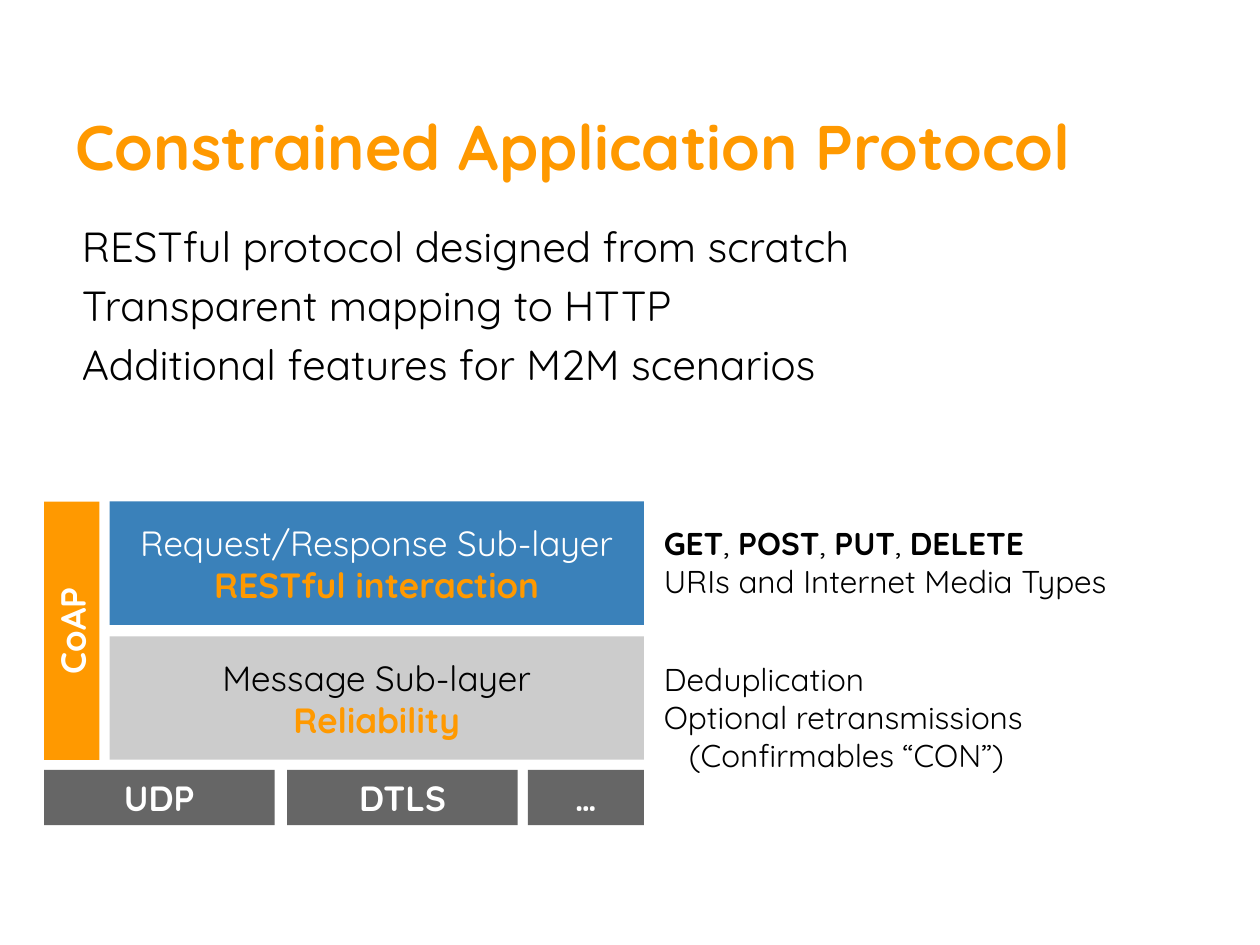
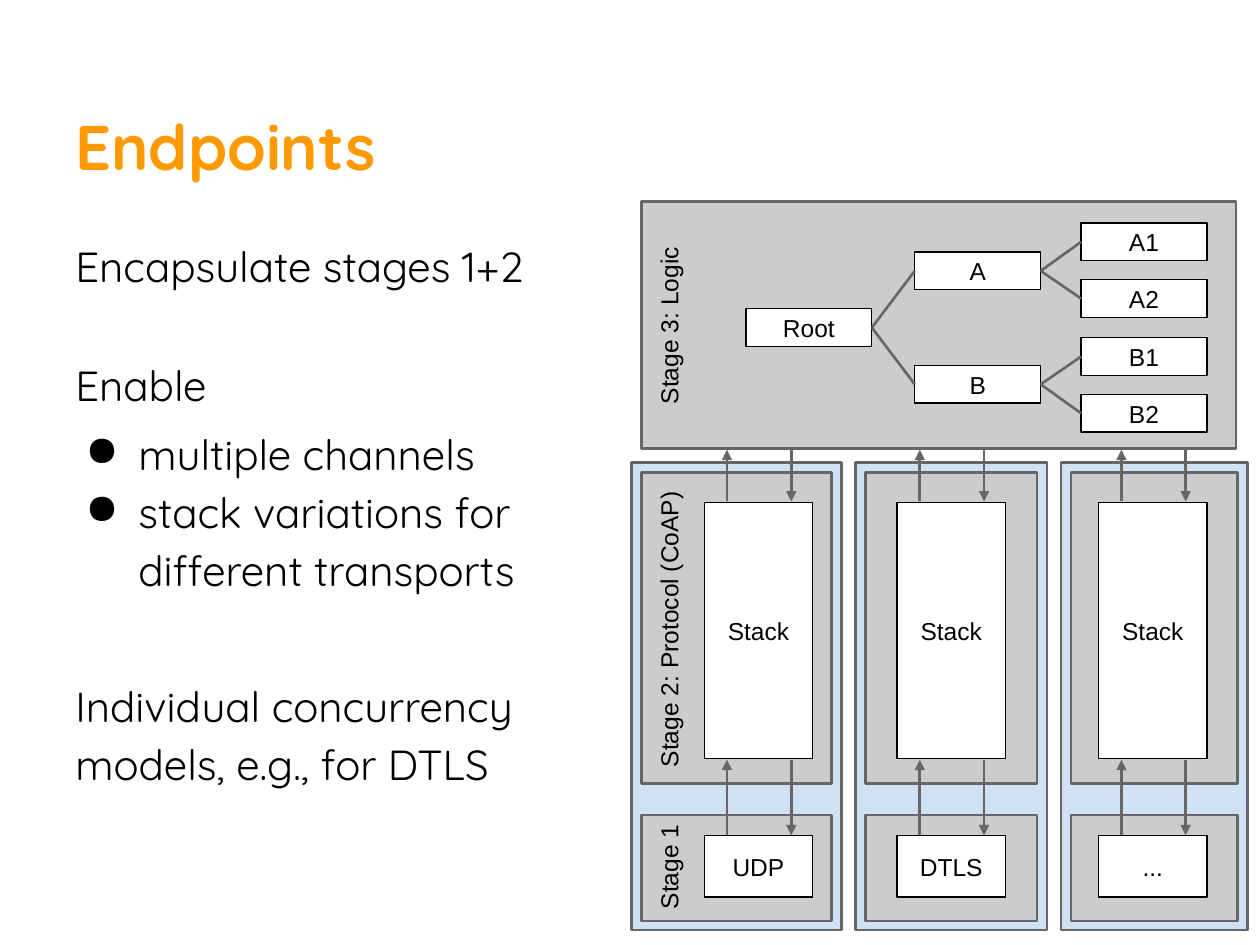
import dataclasses

import lxml.etree
import pptx
import pptx.dml.color
import pptx.enum.shapes
import pptx.enum.text
import pptx.oxml.ns
import pptx.util

PX = 9144
ALIGN = pptx.enum.text.PP_ALIGN
ANCHOR = pptx.enum.text.MSO_ANCHOR
RECTANGLE = pptx.enum.shapes.MSO_SHAPE.RECTANGLE
STRAIGHT = pptx.enum.shapes.MSO_CONNECTOR.STRAIGHT


@dataclasses.dataclass(frozen=True)
class Theme:
    """Colours, fonts and type sizes of the deck."""
    orange: str = "FF9900"
    blue: str = "3A81BA"
    pale_blue: str = "CFE2F3"
    light_gray: str = "CCCCCC"
    dark_gray: str = "666666"
    white: str = "FFFFFF"
    black: str = "000000"
    text_font: str = "Quicksand"
    diagram_font: str = "Arial"
    title_size: int = 36
    body_size: int = 24
    layer_size: int = 20
    note_size: int = 18
    diagram_size: int = 14
    thick: float = 1.5
    thin: float = 0.75


THEME = Theme()
TITLE_BOX = (50, 30, 900, 125)
BODY_BOX = (50, 175, 900, 543)


def emu(*lengths):
    """Turn px into EMU."""
    return [pptx.util.Emu(round(length * PX)) for length in lengths]


def rgb(color):
    """Turn a hex string into a colour."""
    return pptx.dml.color.RGBColor.from_string(color)


def style(paragraph, size, color, bold=False, font=THEME.text_font):
    """Format every run of a paragraph."""
    for span in paragraph.runs:
        span.font.name = font
        span.font.size = pptx.util.Pt(size)
        span.font.bold = bold
        span.font.color.rgb = rgb(color)


def write(shape, text, size, color, bold=False, font=THEME.text_font,
          align=ALIGN.LEFT, anchor=ANCHOR.TOP, insets=(10, 10, 10, 10)):
    """Fill a shape with evenly styled text and return its paragraphs."""
    frame = shape.text_frame
    frame.word_wrap = True
    frame.vertical_anchor = anchor
    (frame.margin_left, frame.margin_top,
     frame.margin_right, frame.margin_bottom) = emu(*insets)
    frame.text = text
    for paragraph in frame.paragraphs:
        paragraph.alignment = align
        style(paragraph, size, color, bold, font)
    return frame.paragraphs


def add_text(page, box, text, size, color, **options):
    """Add a text box and return its paragraphs."""
    return write(page.shapes.add_textbox(*emu(*box)), text, size, color, **options)


def add_block(page, box, fill, line=None, weight=THEME.thick):
    """Add a flat rectangle."""
    shape = page.shapes.add_shape(RECTANGLE, *emu(*box))
    shape.shadow.inherit = False
    shape.fill.solid()
    shape.fill.fore_color.rgb = rgb(fill)
    if line:
        shape.line.color.rgb = rgb(line)
        shape.line.width = pptx.util.Pt(weight)
    else:
        shape.line.fill.background()
    return shape


def turned(box):
    """Give the frame that covers the box once it is turned by 270 degrees."""
    left, top, width, height = box
    shift = (width - height) / 2
    return left + shift, top - shift, height, width


def add_line(page, start, end, arrow=False):
    """Add a gray line, with an arrowhead at its end if wanted."""
    connector = page.shapes.add_connector(STRAIGHT, *emu(*start, *end))
    connector.line.color.rgb = rgb(THEME.dark_gray)
    connector.line.width = pptx.util.Pt(THEME.thick)
    properties = connector._element.spPr
    if arrow:
        outline = properties.find(pptx.oxml.ns.qn("a:ln"))
        lxml.etree.SubElement(outline, pptx.oxml.ns.qn("a:tailEnd"), type="triangle")
    lxml.etree.SubElement(properties, pptx.oxml.ns.qn("a:effectLst"))
    return connector


def indent(paragraph, left, first=0, bullet=None):
    """Indent a paragraph and give it a bullet if wanted."""
    properties = paragraph._p.get_or_add_pPr()
    properties.set("marL", str(left * PX))
    properties.set("indent", str(first * PX))
    if bullet:
        color = lxml.etree.SubElement(properties, pptx.oxml.ns.qn("a:buClr"))
        lxml.etree.SubElement(color, pptx.oxml.ns.qn("a:srgbClr"), val=THEME.black)
        lxml.etree.SubElement(properties, pptx.oxml.ns.qn("a:buChar"), char=bullet)


def add_page(deck, title):
    """Add a blank page with its title."""
    page = deck.slides.add_slide(deck.slide_layouts[6])
    add_text(page, TITLE_BOX, title, THEME.title_size, THEME.orange,
             bold=True, anchor=ANCHOR.BOTTOM)
    return page


def draw_layers(page, box):
    """Draw the protocol layers inside the box."""
    left, top, width, height = box
    label = dict(align=ALIGN.CENTER, anchor=ANCHOR.MIDDLE, insets=(10, 5, 10, 5))
    bar, layer_left, layer_height, pitch = 44, 52, 98, 107
    layers = [
        ("Request/Response Sub-layer", "RESTful interaction", THEME.blue, THEME.white),
        ("Message Sub-layer", "Reliability", THEME.light_gray, THEME.black),
    ]
    for row, (name, purpose, fill, color) in enumerate(layers):
        block = add_block(page, (left + layer_left, top + row * pitch,
                                 width - layer_left, layer_height), fill)
        lines = write(block, f"{name}\n{purpose}", THEME.layer_size, color, **label)
        style(lines[1], THEME.layer_size, THEME.orange, bold=True)
    for name, offset, span_width in [("UDP", 0, 183), ("DTLS", 193, 183), ("…", 384, 92)]:
        block = add_block(page, (left + offset, top + height - bar, span_width, bar),
                          THEME.dark_gray)
        write(block, name, THEME.layer_size, THEME.white, bold=True, **label)
    coap = add_block(page, turned((left, top, bar, pitch + layer_height)), THEME.orange)
    coap.rotation = 270
    write(coap, "CoAP", THEME.layer_size, THEME.white, bold=True, **label)


def draw_notes(page, box):
    """Write the remarks beside the two sub-layers."""
    left, top, width, height = box
    insets = (10, 5, 10, 5)
    methods = add_text(page, (left, top, width, height), "\nURIs and Internet Media Types",
                       THEME.note_size, THEME.black, insets=insets)[0]
    for index, method in enumerate(["GET", "POST", "PUT", "DELETE"]):
        if index:
            methods.add_run().text = ", "
        methods.add_run().text = method
    style(methods, THEME.note_size, THEME.black)
    for span in methods.runs[::2]:
        span.font.bold = True
    lines = add_text(page, (left, top + 108, width, height),
                     "Deduplication\nOptional retransmissions\n(Confirmables “CON”)",
                     THEME.note_size, THEME.black, insets=insets)
    indent(lines[2], 20)


def draw_tree(page, box):
    """Draw the resource tree, each parent midway between its children."""
    left, top, step = box
    width, height = 100, 30

    def node(name, column, row):
        block = add_block(page, (left + column, top + round(row * step), width, height),
                          THEME.white, THEME.black, THEME.thin)
        write(block, name, THEME.diagram_size, THEME.black, font=THEME.diagram_font,
              align=ALIGN.CENTER, anchor=ANCHOR.MIDDLE)
        return block

    def join(parent, child):
        line = add_line(page, (0, 0), (0, 0))
        line.begin_connect(parent, 3)
        line.end_connect(child, 1)

    root = node("Root", 0, 1.5)
    for branch, name in enumerate("AB"):
        parent = node(name, 134, 2 * branch + 0.5)
        join(root, parent)
        for leaf in range(2):
            join(parent, node(f"{name}{leaf + 1}", 266, 2 * branch + leaf))


def draw_channel(page, box, stack_offset, transport):
    """Draw one endpoint: a stack above its transport, linked by arrows."""
    left, top, width, height = box
    pad, stack_width = 8, 86
    add_block(page, box, THEME.pale_blue, THEME.dark_gray)
    for offset, panel_height in [(pad, 247), (280, 84)]:
        add_block(page, (left + pad, top + offset, width - 2 * pad, panel_height),
                  THEME.light_gray, THEME.dark_gray)
    stack_left = left + stack_offset
    for name, offset, block_height in [("Stack", 32, 203), (transport, 296, 49)]:
        block = add_block(page, (stack_left, top + offset, stack_width, block_height),
                          THEME.white, THEME.black, THEME.thin)
        write(block, name, THEME.diagram_size, THEME.black, font=THEME.diagram_font,
              align=ALIGN.CENTER, anchor=ANCHOR.MIDDLE)
    up, down = stack_left + 18, stack_left + 69
    for upper, lower in [(-10, 31), (236, 296)]:
        add_line(page, (up, top + lower), (up, top + upper), arrow=True)
        add_line(page, (down, top + upper), (down, top + lower), arrow=True)


def draw_endpoints(page, box):
    """Draw the logic stage above the three endpoints."""
    left, top, width, height = box
    pad, channel_top = 8, 207
    add_block(page, (left + pad, top, 472, 196), THEME.light_gray, THEME.dark_gray)
    draw_tree(page, (left + 91, top + 17, 45.3))
    for offset, channel_width, stack_offset, transport in [
            (0, 167, 58, "UDP"), (178, 152, 33, "DTLS"), (341, 148, 30, "...")]:
        draw_channel(page, (left + offset, top + channel_top, channel_width,
                            height - channel_top), stack_offset, transport)
    for name, offset, stage_height in [("Stage 3: Logic", 0, 197),
                                       ("Stage 2: Protocol (CoAP)", 216, 247),
                                       ("Stage 1", 482, 92)]:
        label = page.shapes.add_textbox(
            *emu(*turned((left + pad, top + offset, 37, stage_height))))
        label.rotation = 270
        write(label, name, THEME.diagram_size, THEME.black,
              font=THEME.diagram_font, align=ALIGN.CENTER)


def build_protocol_page(deck):
    """Build the page on the protocol and its layers."""
    page = add_page(deck, "Constrained Application Protocol")
    lines = add_text(page, BODY_BOX,
                     "RESTful protocol designed from scratch\n"
                     "Transparent mapping to HTTP\n"
                     "Additional features for M2M scenarios",
                     THEME.body_size, THEME.black, insets=(15, 0, 16, 0))
    for paragraph in lines[1:]:
        paragraph.space_before = pptx.util.Pt(5)
    draw_layers(page, (35, 398, 476, 257))
    draw_notes(page, (517, 411, 464, 71))


def build_endpoints_page(deck):
    """Build the page on endpoints."""
    page = add_page(deck, "Endpoints")
    points = [
        ("Encapsulate stages 1+2", 0, None),
        ("Enable", 35, None),
        ("multiple channels", 6, "●"),
        ("stack variations for\vdifferent transports", 0, "●"),
        ("Individual concurrency\vmodels, e.g., for DTLS", 45, None),
    ]
    lines = add_text(page, BODY_BOX, "\n".join(text for text, _, _ in points),
                     THEME.body_size, THEME.black)
    for paragraph, (_, space, bullet) in zip(lines, points):
        if bullet:
            indent(paragraph, 50, -42, bullet)
        paragraph.line_spacing = 1.15
        paragraph.space_before = pptx.util.Pt(space)
    draw_endpoints(page, (501, 160, 489, 578))


def main():
    """Build and save the deck."""
    deck = pptx.Presentation()
    deck.slide_width, deck.slide_height = emu(1000, 750)
    build_protocol_page(deck)
    build_endpoints_page(deck)
    deck.save("out.pptx")


if __name__ == "__main__":
    main()
